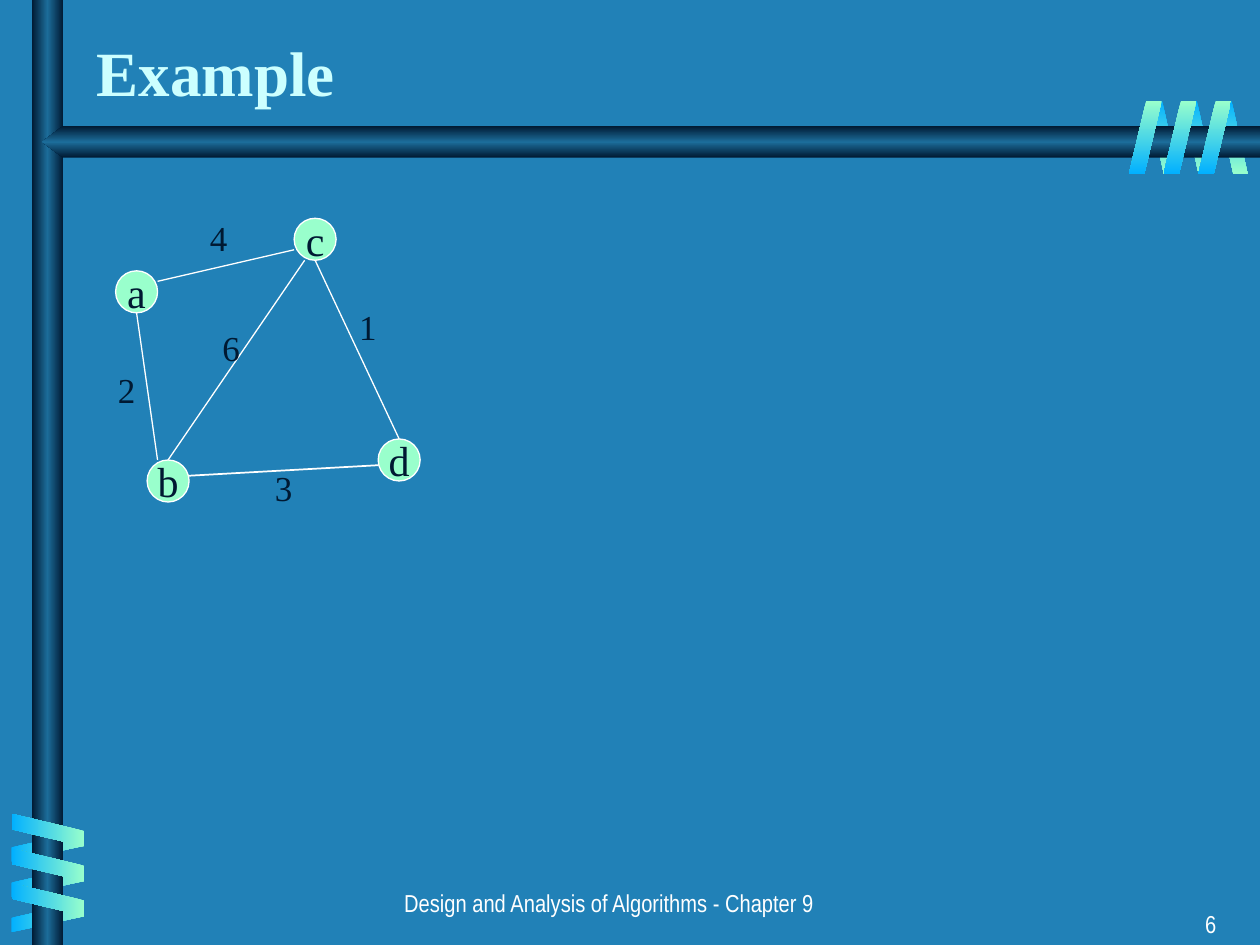
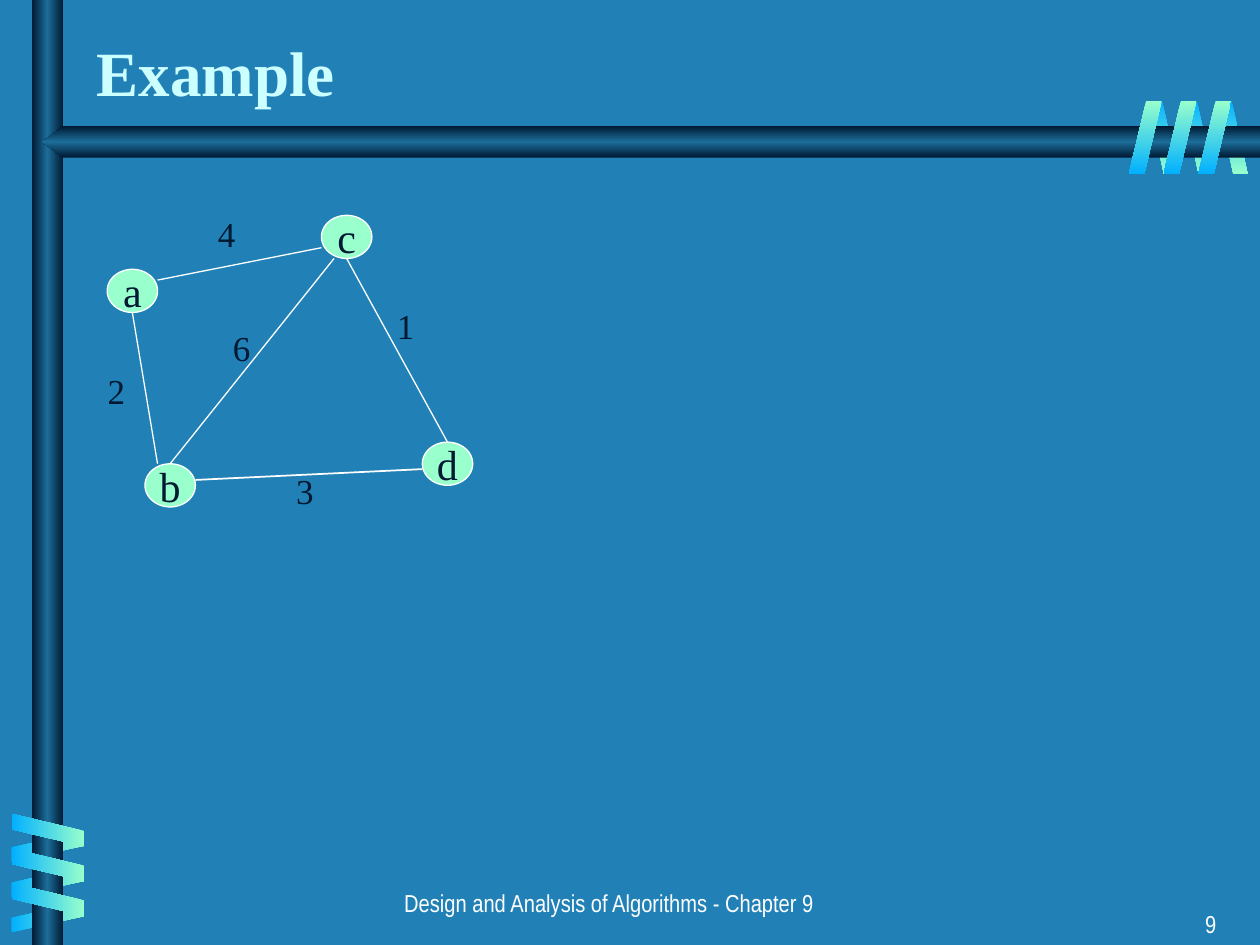
from dataclasses import dataclass

import lxml.etree
import pptx
import pptx.dml.color
import pptx.enum.shapes
import pptx.enum.text
import pptx.oxml.ns
import pptx.shapes.group
import pptx.slide
import pptx.util

Cm = pptx.util.Cm
RGBColor = pptx.dml.color.RGBColor
MSO_SHAPE = pptx.enum.shapes.MSO_SHAPE
PP_ALIGN = pptx.enum.text.PP_ALIGN
MSO_ANCHOR = pptx.enum.text.MSO_ANCHOR
qn = pptx.oxml.ns.qn

# Colours and fonts
BACKGROUND = RGBColor(0x21, 0x81, 0xB7)
NAVY = RGBColor(0x00, 0x19, 0x32)
BAR_BLUE = RGBColor(0x1C, 0x6D, 0x9A)
SKY = RGBColor(0x01, 0xB0, 0xFF)
MINT = RGBColor(0x99, 0xFF, 0xCC)
TITLE_COLOR = RGBColor(0xCC, 0xFF, 0xFF)
WHITE = RGBColor(0xFF, 0xFF, 0xFF)
SERIF = "Times New Roman"
NARROW = "Arial Narrow"

SLIDE_WIDTH, SLIDE_HEIGHT = Cm(25.4), Cm(19.05)
FOOTER = "Design and Analysis of Algorithms - Chapter 9"


@dataclass(frozen=True)
class Coil:
    """Three equally spaced ribbons; lengths in centimetres."""
    left: float
    top: float
    width: float
    step_x: float
    step_y: float
    rotation: int
    flipped: bool
    colors: tuple[RGBColor, RGBColor]
    gradient_angle: int


@dataclass(frozen=True)
class Node:
    name: str
    column: float
    row: float


@dataclass(frozen=True)
class Edge:
    """A weighted edge; start, end and label are (column, row) grid points."""
    start: tuple[float, float]
    end: tuple[float, float]
    weight: str
    label: tuple[float, float]
    line_width: float = 0.75
    start_node: str = ""  # node whose top the edge is joined to


@dataclass(frozen=True)
class GraphFrame:
    """Where the graph grid lies on a slide, in centimetres."""
    page: str
    left: float
    top: float
    width: float
    height: float

    def x(self, column: float) -> int:
        return Cm(self.left + column * self.width / GRID_COLUMNS)

    def y(self, row: float) -> int:
        return Cm(self.top + row * self.height / GRID_ROWS)


BACK_COILS = (
    Coil(23.14, 2.03, 0.61, 0.7, 0, 180, True, (SKY, MINT), 90),
    Coil(0.66, 16.33, 0.61, 0, 0.71, 90, True, (SKY, MINT), 180),
)
FRONT_COILS = (
    Coil(0.64, 16, 0.66, 0, 0.7, 270, False, (MINT, SKY), 180),
    Coil(22.76, 2.03, 0.66, 0.7, 0, 0, False, (MINT, SKY), 90),
)

# The weighted graph on its grid
GRID_COLUMNS, GRID_ROWS, NODE_CELLS = 29, 27, 4
NODES = (Node("c", 17, 0), Node("d", 25, 21), Node("b", 3, 23), Node("a", 0, 5))
EDGES = (
    Edge((4, 6), (17, 3), "4", (7.8, -0.8)),
    Edge((4, 23), (2, 9), "2", (-0.95, 13.7)),
    Edge((5, 23), (18, 4), "6", (9, 9.7), start_node="b"),
    Edge((27, 21), (19, 4), "1", (22, 7.7), start_node="d"),
    Edge((7, 24.5), (25, 23.5), "3", (14, 23), line_width=1),
)
FRAMES = (
    GraphFrame("6", 2.33, 4.4, 6.14, 5.72),
    GraphFrame("9", 2.16, 4.34, 7.37, 5.88),
)


def write_text(shape, text: str, *, size: float, color: RGBColor, font: str = SERIF,
               bold: bool = False, align=PP_ALIGN.LEFT, anchor=MSO_ANCHOR.TOP,
               wrap: bool = True) -> None:
    frame = shape.text_frame
    frame.auto_size = pptx.enum.text.MSO_AUTO_SIZE.NONE
    frame.word_wrap = wrap
    frame.vertical_anchor = anchor
    frame.text = text
    paragraph = frame.paragraphs[0]
    paragraph.alignment = align
    paragraph.font.size = pptx.util.Pt(size)
    paragraph.font.name = font
    paragraph.font.bold = bold
    paragraph.font.color.rgb = color


def fill_gradient(shape, colors: tuple[RGBColor, ...], angle: int) -> None:
    """Spread the colours evenly; the angle runs clockwise, fixed to the slide."""
    shape.shadow.inherit = False
    shape.line.fill.background()
    shape.fill.gradient()
    gradient = shape.element.spPr.find(qn("a:gradFill"))
    gradient.set("rotWithShape", "0")
    for child in list(gradient):
        gradient.remove(child)
    stops = lxml.etree.SubElement(gradient, qn("a:gsLst"))
    for index, color in enumerate(colors):
        position = 100000 * index // (len(colors) - 1)
        stop = lxml.etree.SubElement(stops, qn("a:gs"), pos=str(position))
        lxml.etree.SubElement(stop, qn("a:srgbClr"), val=str(color))
    lxml.etree.SubElement(gradient, qn("a:lin"), ang=str(angle * 60000), scaled="0")


def draw_coil(slide: pptx.slide.Slide, coil: Coil) -> None:
    group = slide.shapes.add_group_shape()
    for index in range(3):
        ribbon = group.shapes.add_shape(
            MSO_SHAPE.PARALLELOGRAM, Cm(coil.left + index * coil.step_x),
            Cm(coil.top + index * coil.step_y), Cm(coil.width), Cm(1.47))
        ribbon.adjustments[0] = 0.53
        ribbon.rotation = coil.rotation
        if coil.flipped:
            ribbon.element.spPr.get_or_add_xfrm().set("flipH", "1")
        fill_gradient(ribbon, coil.colors, coil.gradient_angle)


def draw_bars(slide: pptx.slide.Slide) -> None:
    bar_colors = (NAVY, BAR_BLUE, NAVY)
    upright = slide.shapes.add_shape(MSO_SHAPE.RECTANGLE, Cm(0.64), 0, Cm(0.64), SLIDE_HEIGHT)
    fill_gradient(upright, bar_colors, 180)
    top, middle, bottom = Cm(2.54), Cm(2.86), Cm(3.18)
    shoulder, tip = Cm(1.27), Cm(0.85)
    builder = slide.shapes.build_freeform(SLIDE_WIDTH, top)
    builder.add_line_segments(
        [(shoulder, top), (tip, middle), (shoulder, bottom), (SLIDE_WIDTH, bottom)])
    fill_gradient(builder.convert_to_shape(), bar_colors, 90)


def draw_node(group: pptx.shapes.group.GroupShape, node: Node, frame: GraphFrame):
    left, top = frame.x(node.column), frame.y(node.row)
    circle = group.shapes.add_shape(
        MSO_SHAPE.OVAL, left, top, frame.x(node.column + NODE_CELLS) - left,
        frame.y(node.row + NODE_CELLS) - top)
    circle.shadow.inherit = False
    circle.fill.solid()
    circle.fill.fore_color.rgb = MINT
    circle.line.color.rgb = WHITE
    circle.line.width = pptx.util.Pt(0.75)
    write_text(circle, node.name, size=24, color=NAVY, align=PP_ALIGN.CENTER,
               anchor=MSO_ANCHOR.MIDDLE, wrap=False)
    return circle


def draw_edge(group: pptx.shapes.group.GroupShape, edge: Edge, frame: GraphFrame,
              circles: dict) -> None:
    connector = group.shapes.add_connector(
        pptx.enum.shapes.MSO_CONNECTOR.STRAIGHT, frame.x(edge.start[0]),
        frame.y(edge.start[1]), frame.x(edge.end[0]), frame.y(edge.end[1]))
    if edge.start_node:
        connector.begin_connect(circles[edge.start_node], 0)
    connector.line.color.rgb = WHITE
    connector.line.width = pptx.util.Pt(edge.line_width)
    lxml.etree.SubElement(connector.element.spPr, qn("a:effectLst"))
    label = group.shapes.add_textbox(
        frame.x(edge.label[0]), frame.y(edge.label[1]), Cm(0.86), Cm(1.12))
    write_text(label, edge.weight, size=20, color=NAVY, wrap=False)


def draw_graph(slide: pptx.slide.Slide, frame: GraphFrame) -> None:
    group = slide.shapes.add_group_shape()
    circles = {node.name: draw_node(group, node, frame) for node in NODES}
    for edge in EDGES:
        draw_edge(group, edge, frame, circles)


def add_base_slide(presentation, title: str, page: str) -> pptx.slide.Slide:
    slide = presentation.slides.add_slide(presentation.slide_layouts[5])
    slide.background.fill.solid()
    slide.background.fill.fore_color.rgb = BACKGROUND

    # Coils wound around the two bars
    for coil in BACK_COILS:
        draw_coil(slide, coil)
    draw_bars(slide)
    for coil in FRONT_COILS:
        draw_coil(slide, coil)

    # Title
    heading = slide.shapes.title
    heading.left, heading.top = Cm(1.7), Cm(0.42)
    heading.width, heading.height = Cm(23.28), Cm(1.9)
    write_text(heading, title, size=36, color=TITLE_COLOR, bold=True, anchor=MSO_ANCHOR.BOTTOM)

    # Footer and page number
    footer = slide.shapes.add_textbox(Cm(3.39), Cm(17.78), Cm(17.78), Cm(0.85))
    write_text(footer, FOOTER, size=14, color=WHITE, font=NARROW, align=PP_ALIGN.CENTER)
    number = slide.shapes.add_textbox(Cm(19.71), Cm(18.2), Cm(5.06), Cm(0.85))
    write_text(number, page, size=14, color=WHITE, font=NARROW, align=PP_ALIGN.RIGHT)
    return slide


def main() -> None:
    presentation = pptx.Presentation()
    presentation.slide_width, presentation.slide_height = SLIDE_WIDTH, SLIDE_HEIGHT
    for frame in FRAMES:
        slide = add_base_slide(presentation, "Example", frame.page)
        draw_graph(slide, frame)
    presentation.save("out.pptx")


if __name__ == "__main__":
    main()
